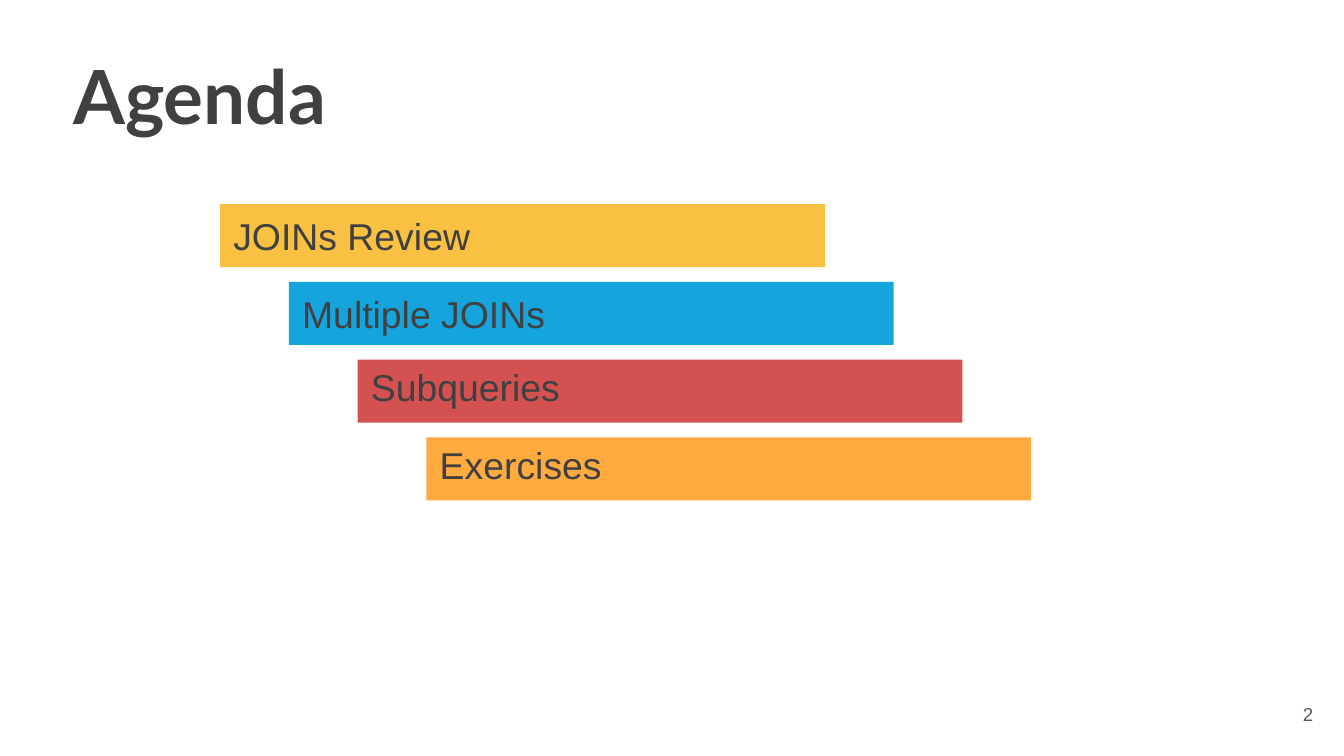
from pptx import Presentation
from pptx.dml.color import RGBColor
from pptx.enum.shapes import MSO_SHAPE
from pptx.enum.text import MSO_ANCHOR, PP_ALIGN
from pptx.util import Cm, Pt

RECTANGLE = MSO_SHAPE.RECTANGLE
TOP, MIDDLE = MSO_ANCHOR.TOP, MSO_ANCHOR.MIDDLE
LEFT, RIGHT = PP_ALIGN.LEFT, PP_ALIGN.RIGHT

DARK = RGBColor(0x40, 0x40, 0x40)
GRAY = RGBColor(0x59, 0x59, 0x59)
YELLOW = RGBColor(0xF9, 0xC0, 0x42)
BLUE = RGBColor(0x16, 0xA4, 0xDD)
RED = RGBColor(0xD4, 0x51, 0x52)
ORANGE = RGBColor(0xFF, 0xAB, 0x40)

INSET = Cm(0.25)
BAR_LEFT, BAR_TOP = 4.16, 3.86
BAR_WIDTH, BAR_HEIGHT = 11.43, 1.19
STEP_X, STEP_Y = 1.3, 1.47

# Topic, bar colour, line spacing
AGENDA = [
    ("JOINs Review", YELLOW, 1.0),
    ("Multiple JOINs", BLUE, 1.0),
    ("Subqueries", RED, 0.8),
    ("Exercises", ORANGE, 0.8),
]


def write_text(sp, text, size=20, font="Arial", color=DARK, bold=False,
               align=LEFT, anchor=MIDDLE, spacing=1.0):
    tf = sp.text_frame
    tf.word_wrap = True
    tf.vertical_anchor = anchor
    tf.margin_left = tf.margin_right = tf.margin_top = tf.margin_bottom = INSET
    p = tf.paragraphs[0]
    p.alignment = align
    p.line_spacing = spacing
    r = p.add_run()
    r.text = text
    r.font.name = font
    r.font.size = Pt(size)
    r.font.bold = bold
    r.font.color.rgb = color


def add_label(s, text, left, top, width, height, **text_format):
    sp = s.shapes.add_textbox(Cm(left), Cm(top), Cm(width), Cm(height))
    write_text(sp, text, **text_format)


def add_bar(s, text, left, top, fill, **text_format):
    sp = s.shapes.add_shape(RECTANGLE, Cm(left), Cm(top),
                            Cm(BAR_WIDTH), Cm(BAR_HEIGHT))
    sp.shadow.inherit = False
    sp.fill.solid()
    sp.fill.fore_color.rgb = fill
    sp.line.fill.background()
    write_text(sp, text, **text_format)


def main():
    prs = Presentation()
    prs.slide_width, prs.slide_height = Cm(25.4), Cm(14.29)
    s = prs.slides.add_slide(prs.slide_layouts[6])

    add_label(s, "Agenda", 1.14, 0.69, 23.9, 2.46,
              size=40, font="Lato", bold=True, anchor=TOP)
    for i, (topic, fill, spacing) in enumerate(AGENDA):
        add_bar(s, topic, BAR_LEFT + i * STEP_X, BAR_TOP + i * STEP_Y, fill,
                spacing=spacing)
    add_label(s, "2", 23.55, 12.95, 1.52, 1.09,
              size=10, color=GRAY, align=RIGHT)

    prs.save("out.pptx")


if __name__ == "__main__":
    main()
